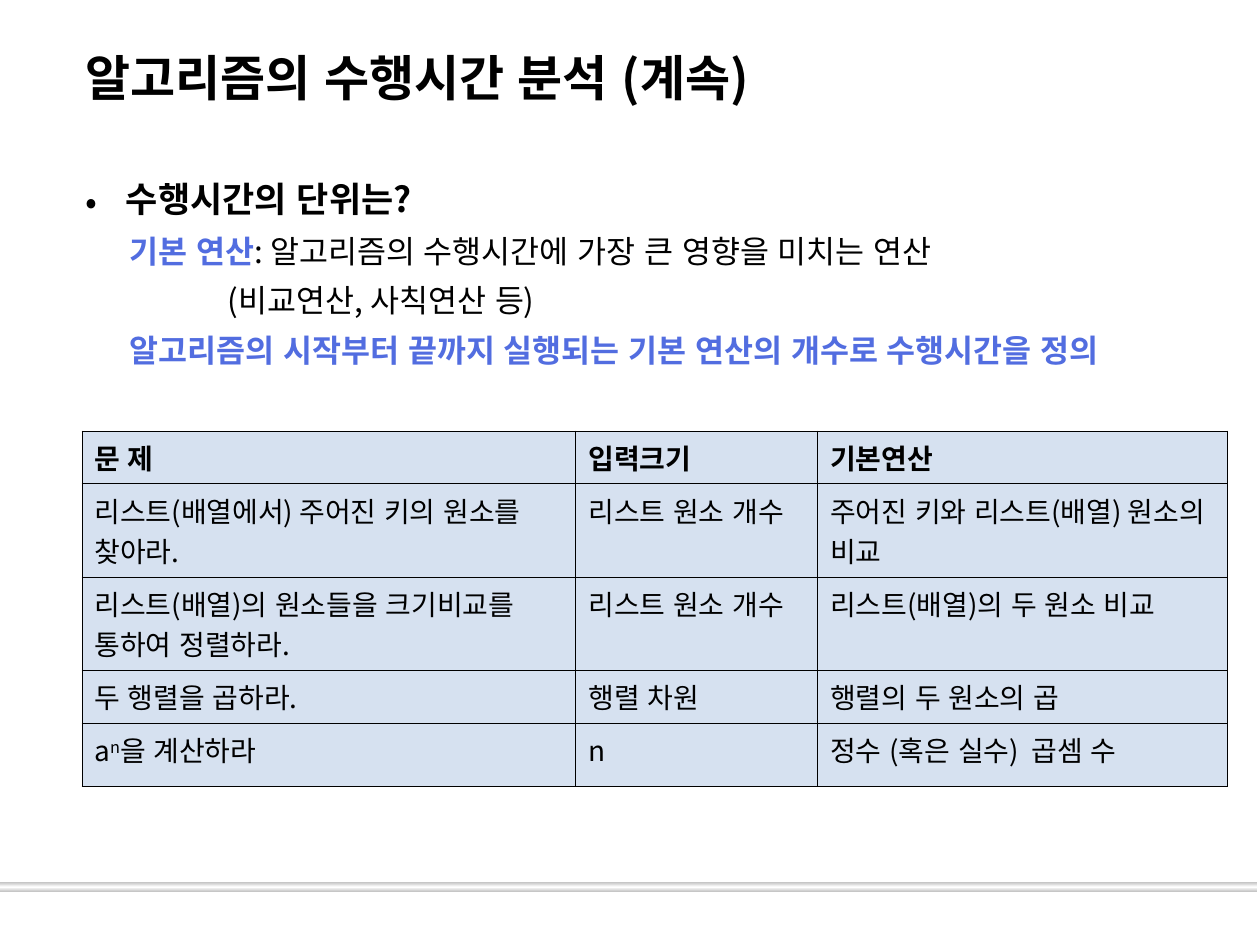
from copy import deepcopy

from lxml import etree
from pptx import Presentation
from pptx.dml.color import RGBColor
from pptx.enum.lang import MSO_LANGUAGE_ID
from pptx.enum.shapes import MSO_SHAPE
from pptx.oxml.ns import qn
from pptx.util import Inches, Pt

RECTANGLE = MSO_SHAPE.RECTANGLE
KOREAN = MSO_LANGUAGE_ID.KOREAN
FONT = "Noto Sans CJK KR"
BLACK, BLUE, CELL_BLUE = "000000", "526DE0", "D6E1F0"
SILVER, WHITE = "C0C0C0", "FFFFFF"


def rgb(value):
    return RGBColor.from_string(value)


def add_run(paragraph, text, size, bold=False, color=BLACK):
    """Append an unkerned run with the same font for Latin and Korean text."""
    run = paragraph.add_run()
    run.text = text
    font = run.font
    font.name, font.size, font.bold = FONT, Pt(size), bold
    font.language_id = KOREAN
    font.color.rgb = rgb(color)
    properties = run._r.get_or_add_rPr()
    properties.set("kern", "0")
    etree.SubElement(properties, qn("a:ea"), typeface=FONT)
    return run


prs = Presentation()
prs.slide_width, prs.slide_height = Inches(10), Inches(7.5)
slide = prs.slides.add_slide(prs.slide_layouts[6])

# Footer bar, silver to white and back
footer_bar = slide.shapes.add_shape(
    RECTANGLE, Inches(-0.02), Inches(7), Inches(10), Inches(0.08))
footer_bar.shadow.inherit = False
footer_bar.line.fill.background()
footer_bar.fill.gradient()
footer_bar.fill.gradient_angle = 90
stop_list = footer_bar._element.spPr.find(".//" + qn("a:gsLst"))
stop_list.insert(1, deepcopy(stop_list[0]))
for stop, position, color in zip(
        footer_bar.fill.gradient_stops, (0, 0.5, 1), (SILVER, WHITE, SILVER)):
    stop.position = position
    stop.color.rgb = rgb(color)

# Title
title = slide.shapes.add_textbox(
    Inches(0.58), Inches(0.33), Inches(6.58), Inches(0.75)).text_frame
title.word_wrap = True
add_run(title.paragraphs[0], "알고리즘의 수행시간 분석 (계속)", 28, True)

# Explanation: left margin, first-line indent, size, runs of (text, bold, color)
explanation = [
    (0.6, -0.32, 20, [("수행시간의 단위는?", True, BLACK)]),
    (0.99, -0.36, 18, [
        ("기본 연산", True, BLUE),
        (": 알고리즘의 수행시간에 가장 큰 영향을 미치는 연산", False, BLACK)]),
    (1.41, 0, 18, [("(비교연산, 사칙연산 등)", False, BLACK)]),
    (0.99, -0.36, 18, [
        ("알고리즘의 시작부터 끝까지 실행되는 기본 연산의 개수로 수행시간을 정의",
         True, BLUE)]),
]
body = slide.shapes.add_textbox(
    Inches(0.3), Inches(1.33), Inches(9.48), Inches(5.92)).text_frame
body.word_wrap = True
for index, (margin, indent, size, runs) in enumerate(explanation):
    paragraph = body.paragraphs[0] if index == 0 else body.add_paragraph()
    paragraph.line_spacing = 1.1
    paragraph.level = min(index, 1)
    properties = paragraph._p.get_or_add_pPr()
    properties.set("marL", str(Inches(margin)))
    properties.set("indent", str(Inches(indent)))
    if index == 0:
        etree.SubElement(properties, qn("a:buFont"), typeface=FONT)
        etree.SubElement(properties, qn("a:buChar"), char="•")
    else:
        paragraph.space_before = Pt(4.5)
        etree.SubElement(properties, qn("a:buNone"))
    for text, bold, color in runs:
        add_run(paragraph, text, size, bold, color)

# Table of problems; a cell given as a tuple has its second part raised
problems = [
    ("문 제", "입력크기", "기본연산"),
    ("리스트(배열에서) 주어진 키의 원소를 찾아라.", "리스트 원소 개수",
     "주어진 키와 리스트(배열) 원소의 비교"),
    ("리스트(배열)의 원소들을 크기비교를 통하여 정렬하라.", "리스트 원소 개수",
     "리스트(배열)의 두 원소 비교"),
    ("두 행렬을 곱하라.", "행렬 차원", "행렬의 두 원소의 곱"),
    (("a", "n", "을 계산하라"), "n", "정수 (혹은 실수)  곱셈 수"),
]
column_widths = (3.92, 1.92, 3.25)
row_heights = (0.42, 0.74, 0.74, 0.42, 0.5)
table = slide.shapes.add_table(
    len(problems), len(column_widths), Inches(0.65), Inches(3.42),
    Inches(sum(column_widths)), Inches(sum(row_heights))).table
for column, width in zip(table.columns, column_widths):
    column.width = Inches(width)
for row, height in zip(table.rows, row_heights):
    row.height = Inches(height)

for row_index, problem in enumerate(problems):
    for column_index, content in enumerate(problem):
        cell = table.cell(row_index, column_index)
        parts = content if isinstance(content, tuple) else (content,)
        for part_index, text in enumerate(parts):
            run = add_run(cell.text_frame.paragraphs[0], text, 16, row_index == 0)
            if part_index == 1:
                run._r.get_or_add_rPr().set("baseline", "30000")
        cell_properties = cell._tc.get_or_add_tcPr()
        for side in ("a:lnL", "a:lnR", "a:lnT", "a:lnB"):
            border = etree.SubElement(cell_properties, qn(side), w=str(Pt(0.45)))
            border_fill = etree.SubElement(border, qn("a:solidFill"))
            etree.SubElement(border_fill, qn("a:srgbClr"), val=BLACK)
        cell.fill.solid()
        cell.fill.fore_color.rgb = rgb(CELL_BLUE)

prs.save("out.pptx")
